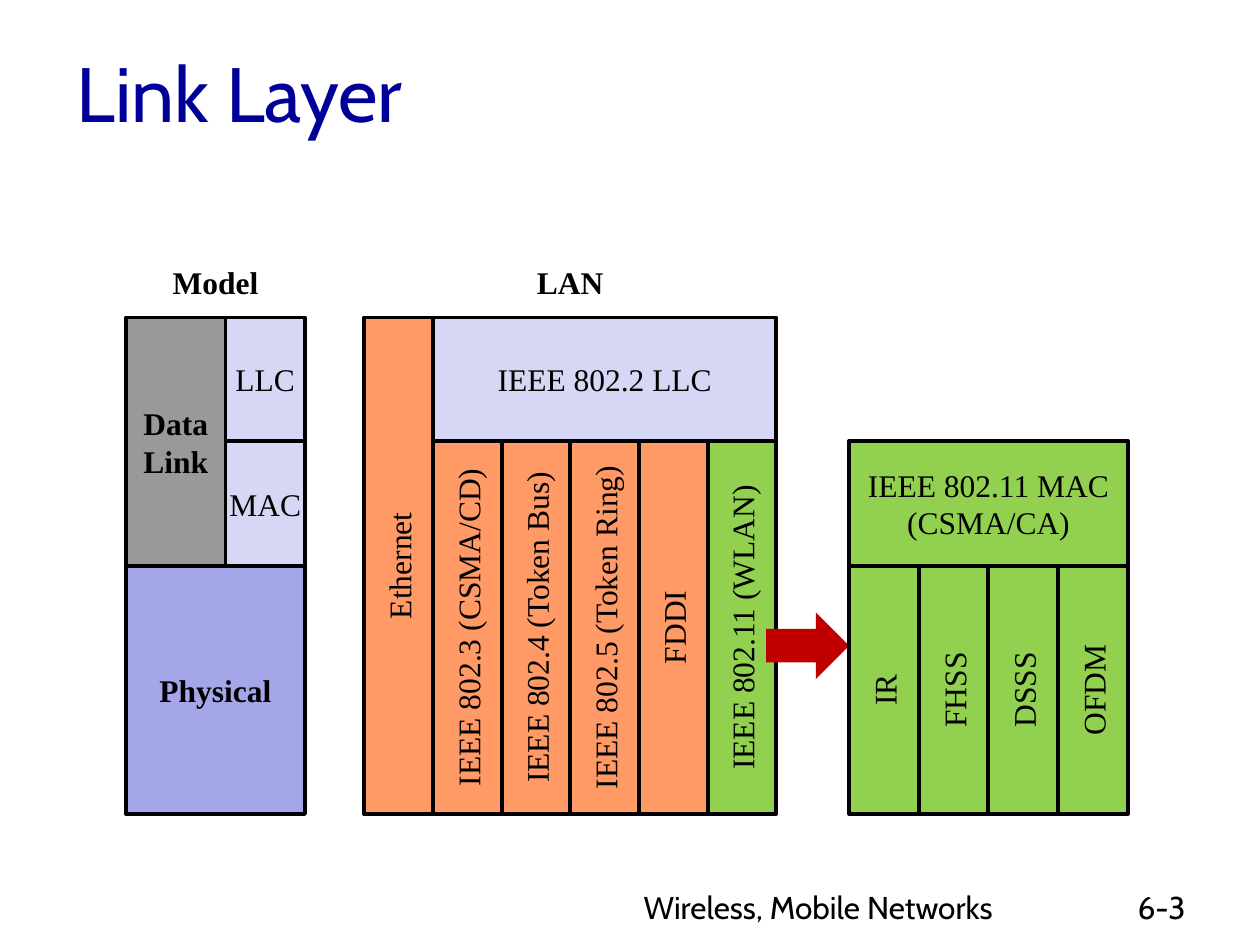
from pptx import Presentation
from pptx.dml.color import RGBColor
from pptx.enum.shapes import MSO_SHAPE
from pptx.enum.text import MSO_ANCHOR, PP_ALIGN
from pptx.util import Inches, Pt

RECT, ARROW = MSO_SHAPE.RECTANGLE, MSO_SHAPE.RIGHT_ARROW
LEFT, CENTER = PP_ALIGN.LEFT, PP_ALIGN.CENTER
TOP, MIDDLE = MSO_ANCHOR.TOP, MSO_ANCHOR.MIDDLE

SERIF, SANS = "Times New Roman", "Cabin"
COLORS = {
    "black": "000000",
    "title": "000099",
    "gray": "999999",
    "lavender": "D6D6F5",
    "violet": "A5A5E9",
    "orange": "FF9966",
    "green": "92D050",
    "red": "C00000",
}

LLC_TOP, MAC_TOP, PHY_TOP, BOTTOM = 2.52, 3.5, 4.49, 6.46
MODEL_X, SUBLAYER_X, MODEL_RIGHT = 1, 1.79, 2.42
LAN_X, IEEE_X, LAN_RIGHT = 2.89, 3.44, 6.16
WLAN_X, WLAN_RIGHT = 6.74, 8.95

LAN_COLUMNS = [
    ("IEEE 802.3 (CSMA/CD)", "orange"),
    ("IEEE 802.4 (Token Bus)", "orange"),
    ("IEEE 802.5 (Token Ring)", "orange"),
    ("FDDI", "orange"),
    ("IEEE 802.11 (WLAN)", "green"),
]
WLAN_COLUMNS = [(name, "green") for name in ("IR", "FHSS", "DSSS", "OFDM")]


def rgb(name):
    return RGBColor.from_string(COLORS[name])


def set_text(sp, text, font=SERIF, size=18, color="black", bold=False,
             align=CENTER, anchor=MIDDLE):
    tf = sp.text_frame
    tf.text = text
    tf.word_wrap = True
    tf.vertical_anchor = anchor
    for p in tf.paragraphs:
        p.alignment = align
        for r in p.runs:
            r.font.name = font
            r.font.size = Pt(size)
            r.font.bold = bold
            r.font.color.rgb = rgb(color)


def add_label(s, text, x, y, w, h, **style):
    sp = s.shapes.add_textbox(Inches(x), Inches(y), Inches(w), Inches(h))
    set_text(sp, text, **style)


def add_box(s, text, fill, left, top, right, bottom, bold=False,
            vertical=False, tight=False):
    sp = s.shapes.add_shape(RECT, Inches(left), Inches(top),
                            Inches(right - left), Inches(bottom - top))
    sp.shadow.inherit = False
    sp.fill.solid()
    sp.fill.fore_color.rgb = rgb(fill)
    sp.line.color.rgb = rgb("black")
    sp.line.width = Pt(2.25)
    set_text(sp, text, bold=bold)
    tf = sp.text_frame
    if tight:
        tf.margin_left = tf.margin_right = 0
    if vertical:
        tf._txBody.bodyPr.set("vert", "vert270")


def add_columns(s, columns, left, top, right, bottom):
    w = (right - left) / len(columns)
    for i, (text, fill) in enumerate(columns):
        x = left + i * w
        add_box(s, text, fill, x, top, x + w, bottom, vertical=True)


def add_arrow(s, x, y, w, h):
    sp = s.shapes.add_shape(ARROW, Inches(x), Inches(y), Inches(w), Inches(h))
    sp.shadow.inherit = False
    sp.fill.solid()
    sp.fill.fore_color.rgb = rgb("red")
    sp.line.fill.background()


def add_model(s):
    add_label(s, "Model", MODEL_X, 2.04, MODEL_RIGHT - MODEL_X, 0.4,
              bold=True, anchor=TOP)
    add_box(s, "Data\nLink", "gray", MODEL_X, LLC_TOP, SUBLAYER_X, PHY_TOP,
            bold=True)
    add_box(s, "LLC", "lavender", SUBLAYER_X, LLC_TOP, MODEL_RIGHT, MAC_TOP,
            tight=True)
    add_box(s, "Physical", "violet", MODEL_X, PHY_TOP, MODEL_RIGHT, BOTTOM,
            bold=True)
    add_box(s, "MAC", "lavender", SUBLAYER_X, MAC_TOP, MODEL_RIGHT, PHY_TOP,
            tight=True)


def add_lan(s):
    add_label(s, "LAN", LAN_X, 2.04, LAN_RIGHT - LAN_X, 0.4,
              bold=True, anchor=TOP)
    add_box(s, "Ethernet", "orange", LAN_X, LLC_TOP, IEEE_X, BOTTOM,
            vertical=True)
    add_box(s, "IEEE 802.2 LLC", "lavender", IEEE_X, LLC_TOP, LAN_RIGHT,
            MAC_TOP)
    add_columns(s, LAN_COLUMNS, IEEE_X, MAC_TOP, LAN_RIGHT, BOTTOM)


def add_wlan(s):
    add_box(s, "IEEE 802.11 MAC\n(CSMA/CA)", "green", WLAN_X, MAC_TOP,
            WLAN_RIGHT, PHY_TOP, tight=True)
    add_arrow(s, 6.08, 4.86, 0.66, 0.53)
    add_columns(s, WLAN_COLUMNS, WLAN_X, PHY_TOP, WLAN_RIGHT, BOTTOM)


def main():
    prs = Presentation()
    prs.slide_width, prs.slide_height = Inches(10), Inches(7.5)
    s = prs.slides.add_slide(prs.slide_layouts[6])
    add_label(s, "Link Layer", 0.51, 0.21, 8.5, 1.04, font=SANS, size=44,
              color="title", align=LEFT)
    add_model(s)
    add_lan(s)
    add_wlan(s)
    footer = {"font": SANS, "align": LEFT, "anchor": TOP}
    add_label(s, "Wireless, Mobile Networks", 5.01, 7, 4.22, 0.35, **footer)
    add_label(s, "6-3", 8.93, 7, 0.74, 0.5, **footer)
    prs.save("out.pptx")


if __name__ == "__main__":
    main()
